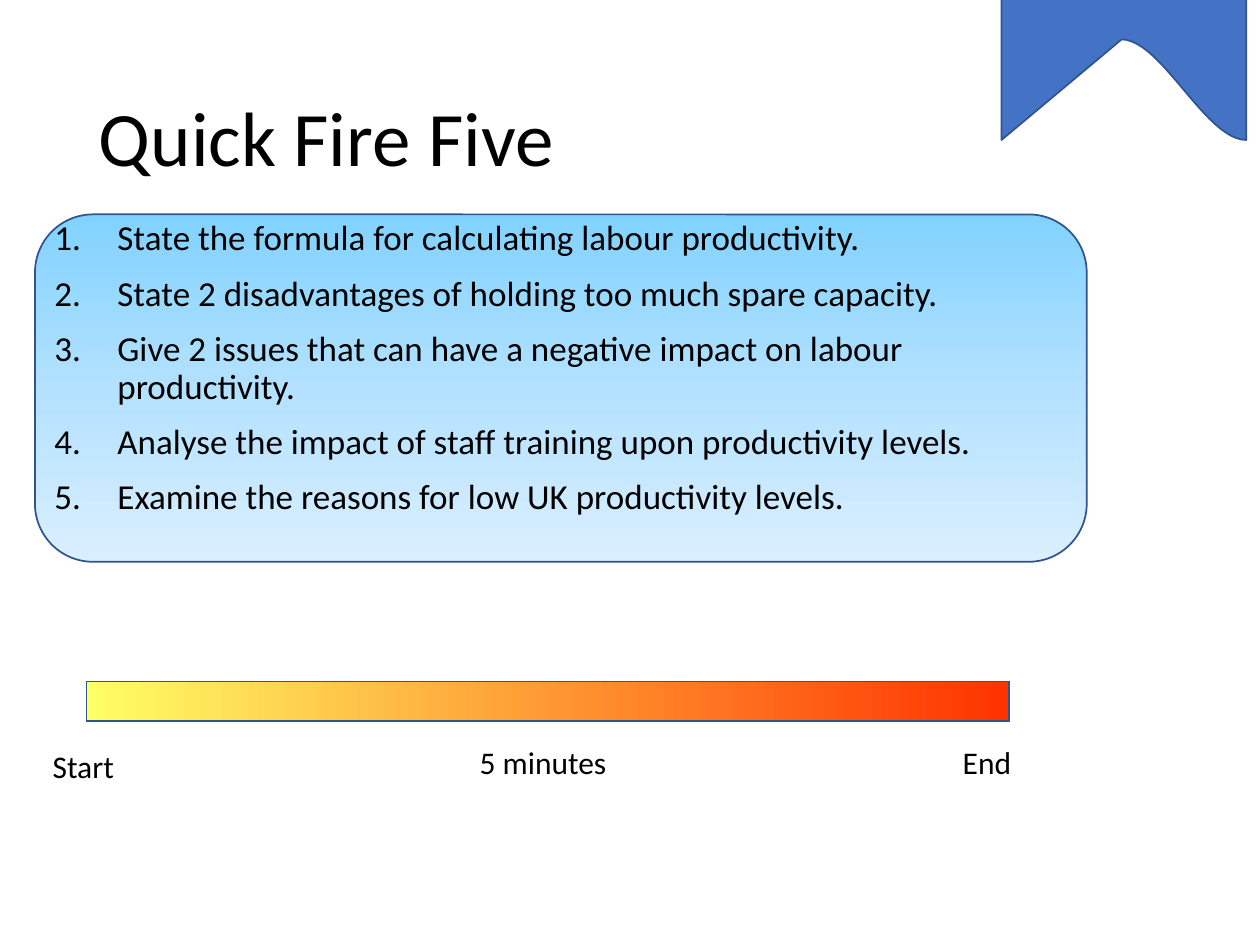
import copy

import pptx
import pptx.dml.color
import pptx.enum.shapes
import pptx.enum.text
import pptx.oxml
import pptx.oxml.ns
import pptx.util

Pt = pptx.util.Pt
RGB = pptx.dml.color.RGBColor
KIND = pptx.enum.shapes.MSO_SHAPE
ANCHOR = pptx.enum.text.MSO_ANCHOR
SIZE = pptx.enum.text.MSO_AUTO_SIZE
qn = pptx.oxml.ns.qn

BLACK = RGB(0x00, 0x00, 0x00)
NAVY = RGB(0x31, 0x53, 0x8F)
BLUE = RGB(0x44, 0x72, 0xC4)
SKY = [RGB(0x81, 0xD2, 0xFF), RGB(0xB3, 0xE1, 0xFF), RGB(0xDA, 0xEF, 0xFF)]
HEAT = [RGB(0xFF, 0xFF, 0x66), RGB(0xFF, 0x33, 0x00)]

TASKS = [
    "State the formula for calculating labour productivity.",
    "State 2 disadvantages of holding too much spare capacity.",
    "Give 2 issues that can have a negative impact on labour productivity.",
    "Analyse the impact of staff training upon productivity levels.",
    "Examine the reasons for low UK productivity levels.",
]


def apply(target, values):
    for name, value in values.items():
        setattr(target, name, value)


def curve(a, b, c, d, steps=24):
    """Points along a cubic curve, without its start."""
    for i in range(1, steps + 1):
        t = i / steps
        s = 1 - t
        yield tuple(s**3 * p + 3 * s * s * t * q + 3 * s * t * t * r + t**3 * e
                    for p, q, r, e in zip(a, b, c, d))


class Deck:
    def __init__(self, slide):
        self.slide = slide
        self.font = {"name": "Calibri"}

    def edge(self, shape, color):
        shape.shadow.inherit = False
        shape.line.color.rgb = color
        shape.line.width = Pt(1)

    def blend(self, shape, colors, angle):
        """Fill with evenly spaced colour stops."""
        shape.fill.gradient()
        shape.fill.gradient_angle = angle
        stops = shape._element.spPr.find(".//" + qn("a:gsLst"))
        for _ in colors[2:]:
            stops.append(copy.deepcopy(stops[-1]))
        for i, (stop, color) in enumerate(zip(shape.fill.gradient_stops, colors)):
            stop.color.rgb = color
            stop.position = i / (len(colors) - 1)

    def box(self, kind, rect, color, colors=None, angle=0):
        shape = self.slide.shapes.add_shape(kind, *map(Pt, rect))
        self.edge(shape, color)
        if colors:
            self.blend(shape, colors, angle)
        else:
            shape.fill.background()
        return shape

    def text(self, rect, lines, size, frame=None, para=None, listed=False):
        body = self.slide.shapes.add_textbox(*map(Pt, rect)).text_frame
        apply(body, {"word_wrap": True, **(frame or {})})
        for i, line in enumerate(lines):
            par = body.paragraphs[0] if i == 0 else body.add_paragraph()
            apply(par, para or {})
            run = par.add_run()
            run.text = line
            apply(run.font, {**self.font, "size": Pt(size)})
            run.font.color.rgb = BLACK
            if listed:
                par.space_before = Pt(10 if i else 0)
                self.number(par)

    def number(self, par):
        props = par._p.get_or_add_pPr()
        props.set("marL", str(Pt(45)))
        props.set("indent", str(Pt(-36)))
        tint = pptx.oxml.parse_xml(
            f'<a:buClr {pptx.oxml.ns.nsdecls("a")}><a:srgbClr val="{BLACK}"/></a:buClr>')
        mark = pptx.oxml.parse_xml(
            f'<a:buAutoNum {pptx.oxml.ns.nsdecls("a")} type="arabicPeriod"/>')
        props.extend([tint, mark])

    def outline(self, points, fill, color):
        pens = [tuple(int(Pt(v)) for v in point) for point in points]
        pen = self.slide.shapes.build_freeform(*pens[0], scale=1.0)
        pen.add_line_segments(pens[1:], close=True)
        shape = pen.convert_to_shape()
        shape.fill.solid()
        shape.fill.fore_color.rgb = fill
        self.edge(shape, color)


def main():
    show = pptx.Presentation()
    apply(show, {"slide_width": Pt(720), "slide_height": Pt(540)})
    deck = Deck(show.slides.add_slide(show.slide_layouts[6]))
    tight = {"line_spacing": 0.9}

    # Question panel and title
    panel = deck.box(KIND.ROUNDED_RECTANGLE, (20, 122.5, 601, 198.5), NAVY, SKY, 270)
    panel.adjustments[0] = 0.167
    deck.text((49.5, 28.75, 621, 104.5), ["Quick Fire Five"], 44,
              {"vertical_anchor": ANCHOR.MIDDLE}, tight)
    deck.text((15, 122.5, 600, 378), TASKS, 20, para=tight, listed=True)

    # Timer bar with its frame
    bar = (49.5, 389.5, 527, 22.5)
    deck.box(KIND.RECTANGLE, bar, BLACK, HEAT)
    deck.box(KIND.RECTANGLE, bar, NAVY)

    # Timer labels
    for word, left, top, width in [("End", 543, 421.25, 68),
                                   ("Start", 23, 423.5, 68),
                                   ("5 minutes", 267, 421.25, 96.5)]:
        deck.text((left, top, width, 29), [word], 18,
                  {"auto_size": SIZE.SHAPE_TO_FIT_TEXT})

    # Corner ribbon with a curved right tail
    left, right, top, low = 572.3, 712.2, -433.5, 80
    tail = curve((right, low), (689, low), (664, 23), (641, 22.5))
    deck.outline([(left, top), (right, top), (right, low), *tail, (left, low)],
                 BLUE, NAVY)

    show.save("out.pptx")


if __name__ == "__main__":
    main()
